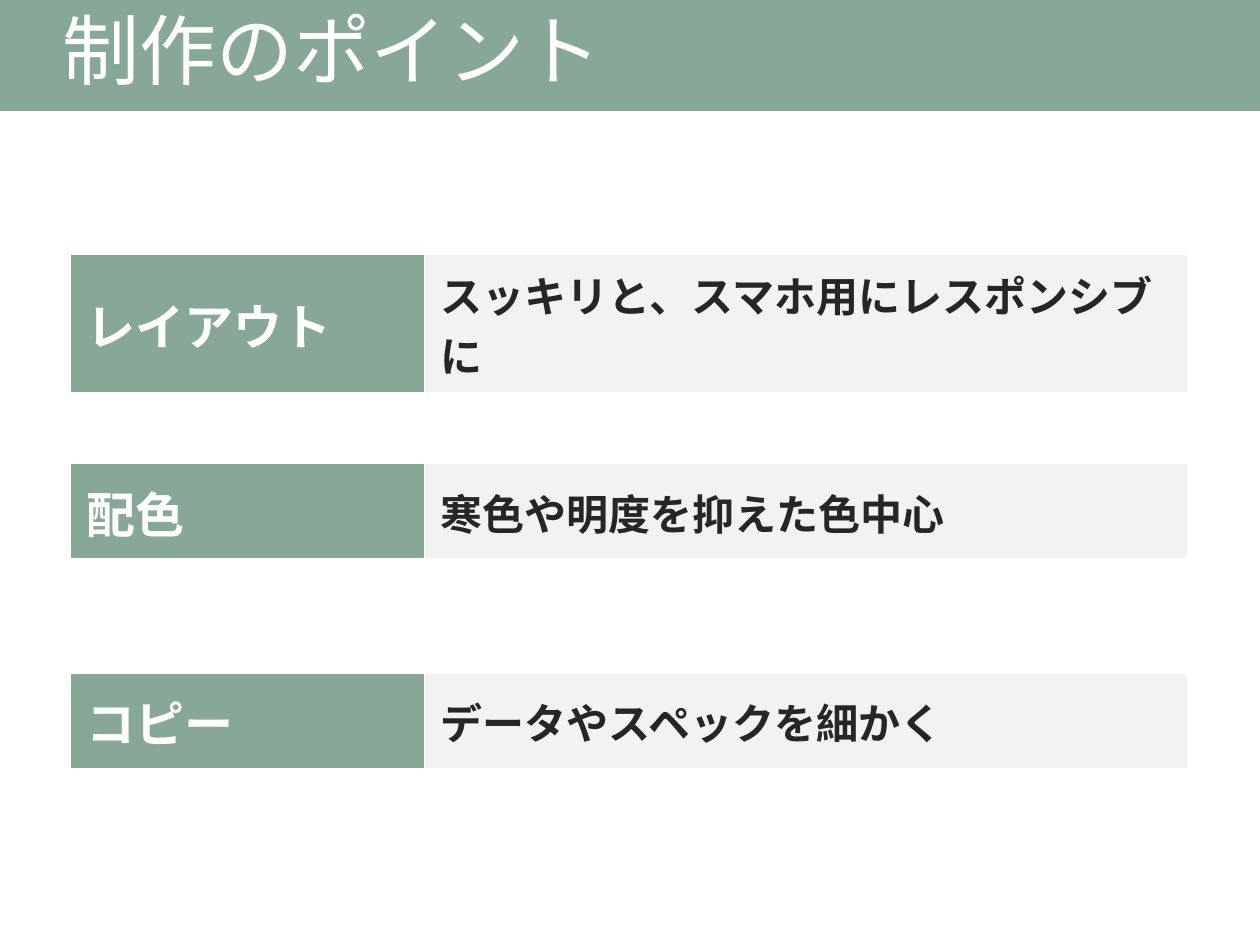
from lxml import etree
from pptx import Presentation
from pptx.dml.color import RGBColor
from pptx.enum import shapes, text
from pptx.oxml import ns
from pptx.util import Inches, Pt

GREEN, GREY, WHITE, DARK = "87A896", "F2F2F2", "FFFFFF", "262626"
BORDERS = {"lnL": 1, "lnR": 1, "lnT": 1, "lnB": 3}


def paint(color_format, color):
    color_format.rgb = RGBColor.from_string(color)


def add_borders(cell):
    """Give the cell white borders; call before setting its fill."""
    properties = cell._tc.get_or_add_tcPr()
    for side, width in BORDERS.items():
        line = etree.SubElement(properties, ns.qn(f"a:{side}"), w=str(Pt(width)))
        fill = etree.SubElement(line, ns.qn("a:solidFill"))
        etree.SubElement(fill, ns.qn("a:srgbClr"), val=WHITE)


prs = Presentation()
prs.slide_width, prs.slide_height = Inches(10), Inches(7.5)
slide = prs.slides.add_slide(prs.slide_layouts[6])

# Title band
band = slide.shapes.add_shape(
    shapes.MSO_SHAPE.RECTANGLE, Inches(0), Inches(-0.01), Inches(10), Inches(0.89))
band.shadow.inherit = False
band.fill.solid()
paint(band.fill.fore_color, GREEN)
band.line.fill.background()
band.text_frame.vertical_anchor = text.MSO_ANCHOR.MIDDLE
title = band.text_frame.paragraphs[0]
title.text = "制作のポイント"
title.alignment = text.PP_ALIGN.LEFT
title.line_spacing = 0.9
title._p.get_or_add_pPr().set("marL", str(Inches(0.4)))
title.font.size = Pt(44)
title.font.name = "Cambria"
paint(title.font.color, WHITE)

# One single-row table per point: heading and advice
points = [
    ("レイアウト", "スッキリと、スマホ用にレスポンシブに"),
    ("配色", "寒色や明度を抑えた色中心"),
    ("コピー", "データやスペックを細かく"),
]
columns = [(2.81, GREEN, WHITE, 28), (6.06, GREY, DARK, 24)]

for index, point in enumerate(points):
    table = slide.shapes.add_table(
        1, 2, Inches(0.56), Inches(2.02 + 1.66 * index), Inches(8.87), Inches(0.77)).table
    table.first_row = table.horz_banding = False
    for col, (wording, (width, fill, color, size)) in enumerate(zip(point, columns)):
        table.columns[col].width = Inches(width)
        cell = table.cell(0, col)
        add_borders(cell)
        cell.fill.solid()
        paint(cell.fill.fore_color, fill)
        cell.vertical_anchor = text.MSO_ANCHOR.MIDDLE
        cell.margin_left = cell.margin_right = Inches(0.13)
        cell.margin_top = cell.margin_bottom = Inches(0.07)
        paragraph = cell.text_frame.paragraphs[0]
        paragraph.text = wording
        paragraph.font.size = Pt(size)
        paragraph.font.bold = True
        paragraph.font.name = "Calibri"
        paint(paragraph.font.color, color)

prs.save("out.pptx")
